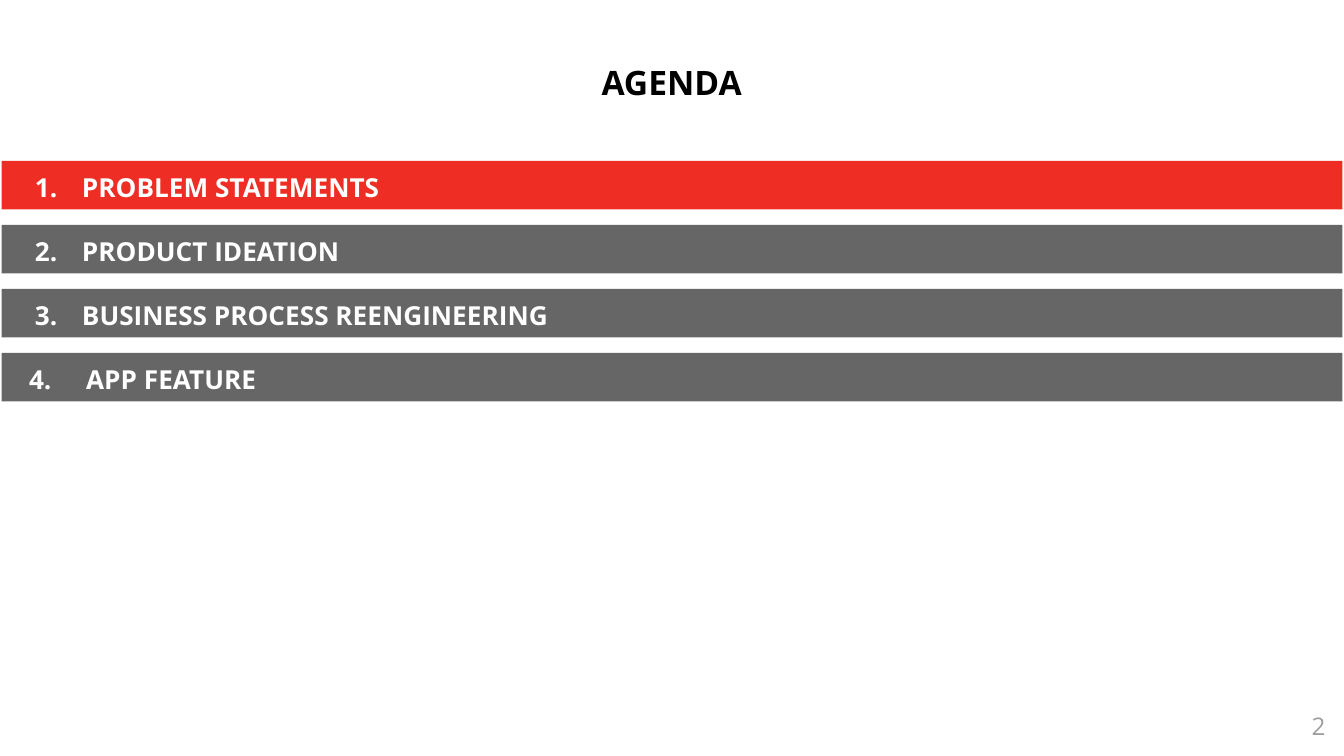
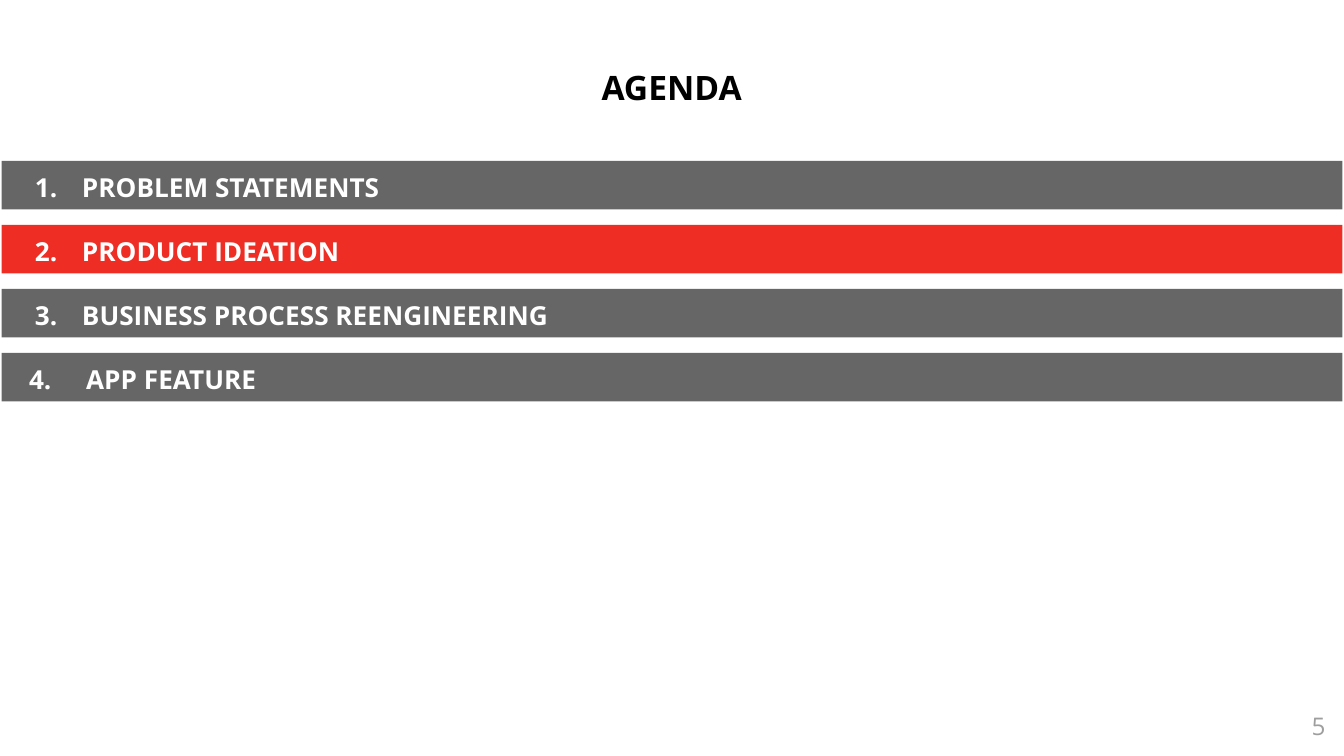
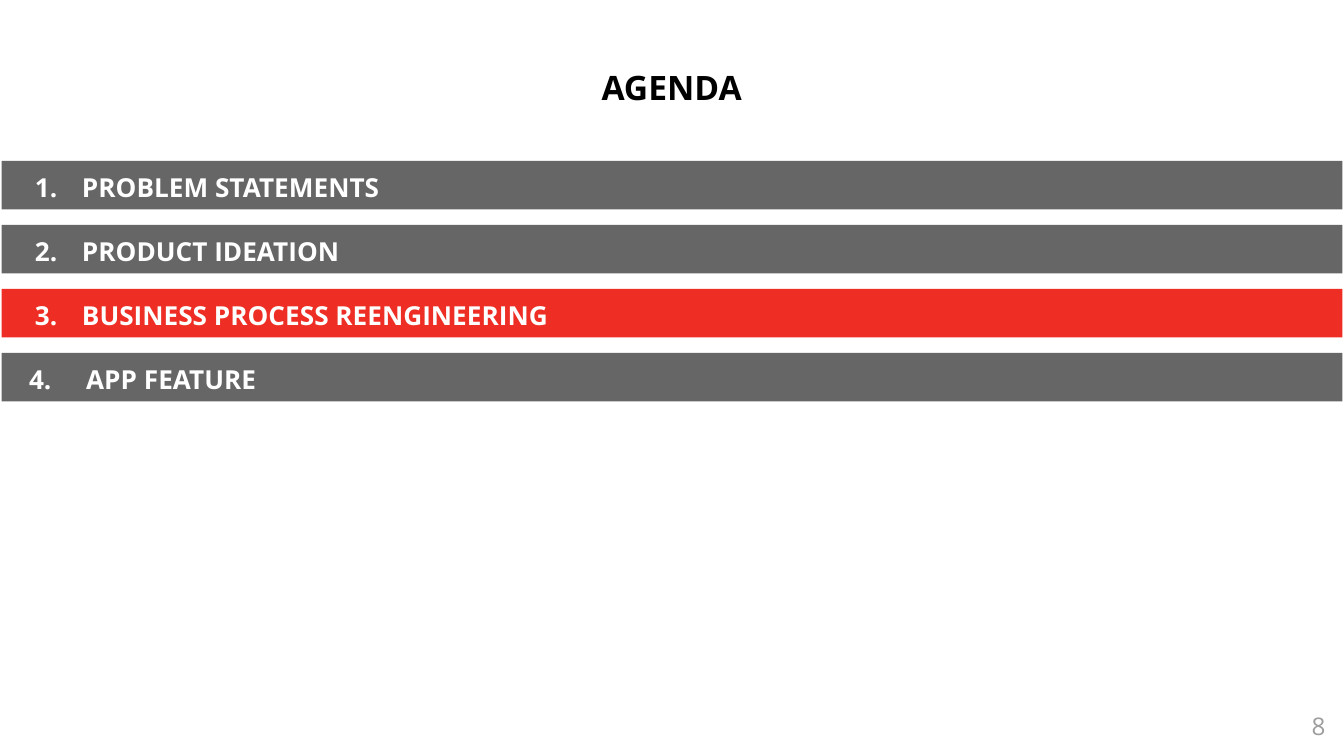
"""Build three agenda slides, each highlighting its current section."""
from lxml import etree
from pptx import Presentation
from pptx import util as u
from pptx.dml import color
from pptx.enum import shapes, text
from pptx.oxml import ns

FONT = "Open Sans"
RED, GREY, WHITE, BLACK, PALE = "EE2E24", "666666", "FFFFFF", "000000", "9E9E9E"
BAR_TOP, BAR_HEIGHT, BAR_PITCH = 3.04, 0.92, 1.21
ITEMS = [
    ("PROBLEM STATEMENTS", 1.27, -0.89),
    ("PRODUCT IDEATION", 1.27, -0.89),
    ("BUSINESS PROCESS REENGINEERING", 1.27, -0.89),
    ("APP FEATURE", 1.35, -1.08),
]
SLIDES = [(2, 1.09), (5, 1.18), (8, 1.18)]


def rgb(hex_color):
    return color.RGBColor.from_string(hex_color)


def write(sp, content, size, hex_color, bold=False, align="LEFT", anchor="MIDDLE",
          spacing=1.0, number=None, margin=0, indent=0):
    tf = sp.text_frame
    tf.word_wrap = True
    tf.vertical_anchor = text.MSO_ANCHOR[anchor]
    tf.margin_left = tf.margin_right = tf.margin_top = tf.margin_bottom = u.Cm(0.25)
    p = tf.paragraphs[0]
    p.alignment = text.PP_ALIGN[align]
    p.line_spacing = spacing
    r = p.add_run()
    r.text = content
    r.font.name, r.font.size, r.font.bold = FONT, u.Pt(size), bold
    r.font.color.rgb = rgb(hex_color)
    if number:
        pPr = p._p.get_or_add_pPr()
        pPr.set("marL", str(u.Cm(margin)))
        pPr.set("indent", str(u.Cm(indent)))
        clr = etree.SubElement(pPr, ns.qn("a:buClr"))
        etree.SubElement(clr, ns.qn("a:srgbClr"), val=hex_color)
        etree.SubElement(pPr, ns.qn("a:buFont"), typeface=FONT)
        etree.SubElement(pPr, ns.qn("a:buAutoNum"), type="arabicPeriod", startAt=str(number))


prs = Presentation()
prs.slide_width, prs.slide_height = u.Cm(25.4), u.Cm(14.29)

for current, (page, title_top) in enumerate(SLIDES, 1):
    s = prs.slides.add_slide(prs.slide_layouts[6])

    title = s.shapes.add_textbox(u.Cm(8.92), u.Cm(title_top), u.Cm(7.55), u.Cm(0.92))
    write(title, "AGENDA", 18, BLACK, bold=True, align="CENTER")

    for number, (item, margin, indent) in enumerate(ITEMS, 1):
        top = BAR_TOP + (number - 1) * BAR_PITCH
        bar = s.shapes.add_shape(shapes.MSO_SHAPE.RECTANGLE, u.Cm(0.03), u.Cm(top),
                                 u.Cm(25.34), u.Cm(BAR_HEIGHT))
        bar.shadow.inherit = False
        bar.fill.solid()
        bar.fill.fore_color.rgb = rgb(RED if number == current else GREY)
        bar.line.fill.background()
        write(bar, item, 14, WHITE, bold=True, spacing=1.15,
              number=number, margin=margin, indent=indent)

    footer = s.shapes.add_textbox(u.Cm(23.78), u.Cm(13.19), u.Cm(1.52), u.Cm(1.09))
    write(footer, str(page), 13, PALE, align="RIGHT", anchor="TOP")

prs.save("out.pptx")
